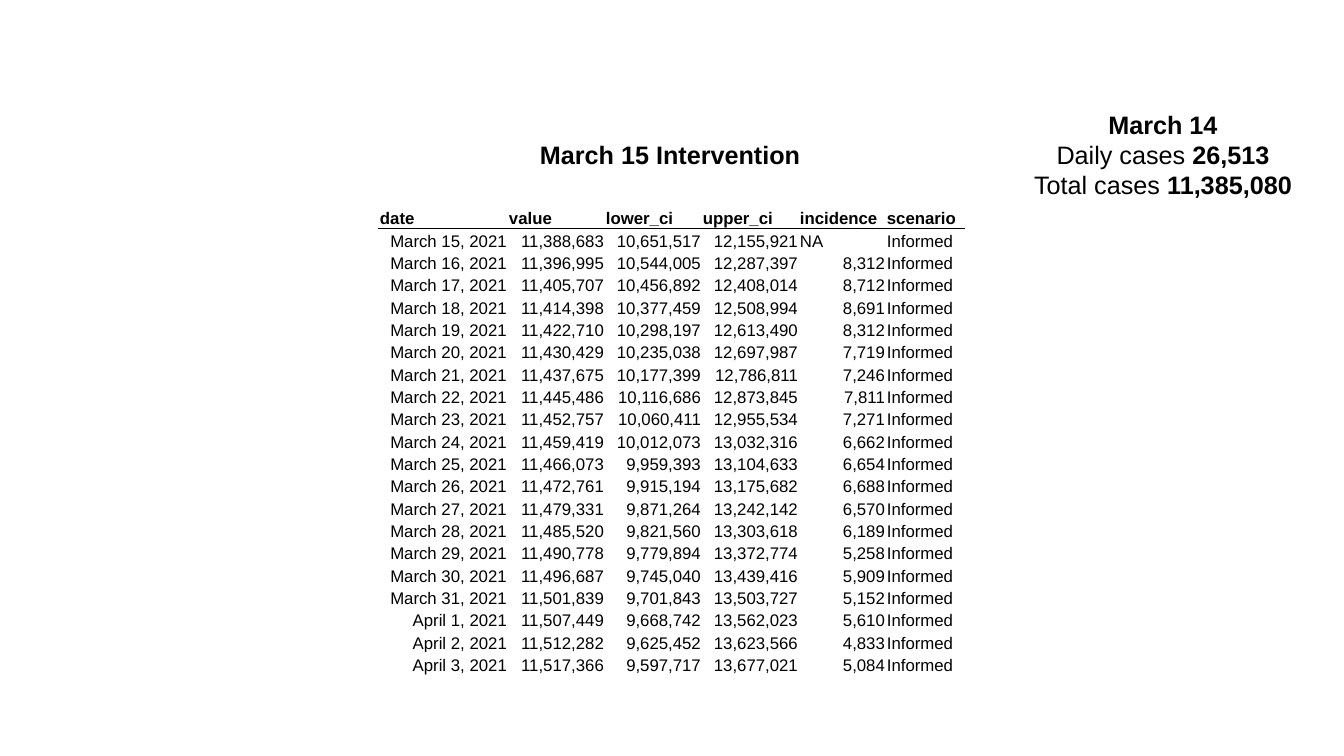
from lxml import etree
from pptx import Presentation
from pptx.dml.color import RGBColor
from pptx.enum.text import MSO_ANCHOR, MSO_AUTO_SIZE, PP_ALIGN
from pptx.oxml.ns import qn
from pptx.util import Pt

PX = 914400 / 100.8
BLACK = "000000"


def px(length):
    """Turn px into EMU."""
    return round(length * PX)


def style_font(font, size, bold=None):
    font.name = "Arial"
    font.size = Pt(size)
    font.bold = bold
    font.color.rgb = RGBColor.from_string(BLACK)


presentation = Presentation()
presentation.slide_width = px(1344)
presentation.slide_height = px(756)
slide = presentation.slides.add_slide(presentation.slide_layouts[6])

# Forecast table: value, lower and upper bound per day
HEADERS = ["date", "value", "lower_ci", "upper_ci", "incidence", "scenario"]
COLUMN_WIDTHS = [129, 97, 97, 97, 87, 79]
FORECAST = [
    (11388683, 10651517, 12155921),
    (11396995, 10544005, 12287397),
    (11405707, 10456892, 12408014),
    (11414398, 10377459, 12508994),
    (11422710, 10298197, 12613490),
    (11430429, 10235038, 12697987),
    (11437675, 10177399, 12786811),
    (11445486, 10116686, 12873845),
    (11452757, 10060411, 12955534),
    (11459419, 10012073, 13032316),
    (11466073, 9959393, 13104633),
    (11472761, 9915194, 13175682),
    (11479331, 9871264, 13242142),
    (11485520, 9821560, 13303618),
    (11490778, 9779894, 13372774),
    (11496687, 9745040, 13439416),
    (11501839, 9701843, 13503727),
    (11507449, 9668742, 13562023),
    (11512282, 9625452, 13623566),
    (11517366, 9597717, 13677021),
]

# Incidence is the daily rise in value
rows = [HEADERS]
for index, (value, lower, upper) in enumerate(FORECAST):
    day = 15 + index
    date = f"March {day}, 2021" if day <= 31 else f"April {day - 31}, 2021"
    incidence = f"{value - FORECAST[index - 1][0]:,}" if index else "NA"
    rows.append([date, f"{value:,}", f"{lower:,}", f"{upper:,}", incidence, "Informed"])

table = slide.shapes.add_table(
    len(rows), len(HEADERS), px(379), px(206), px(sum(COLUMN_WIDTHS)), px(470)
).table
table.first_row = False
table.horz_banding = False
for column, width in zip(table.columns, COLUMN_WIDTHS):
    column.width = px(width)

HEADER_RULE = {0: "a:lnB", 1: "a:lnT"}
for row_index, row in enumerate(rows):
    for column_index, text in enumerate(row):
        cell = table.cell(row_index, column_index)
        cell.text = text
        cell.vertical_anchor = MSO_ANCHOR.BOTTOM
        cell.margin_left = cell.margin_right = cell.margin_top = px(1)
        cell.margin_bottom = 0
        paragraph = cell.text_frame.paragraphs[0]
        style_font(paragraph.font, 12, row_index == 0)
        if row_index > 0 and text not in ("NA", "Informed"):
            paragraph.alignment = PP_ALIGN.RIGHT
        if row_index in HEADER_RULE:
            properties = cell._tc.get_or_add_tcPr()
            line = etree.SubElement(properties, qn(HEADER_RULE[row_index]), w=str(Pt(0.5)))
            line_fill = etree.SubElement(line, qn("a:solidFill"))
            etree.SubElement(line_fill, qn("a:srgbClr"), val=BLACK)
        cell.fill.background()

# Text boxes: each paragraph is a list of (text, bold) runs
TEXT_BOXES = [
    ((530, 134, 283, 40), PP_ALIGN.LEFT, [[("March 15 Intervention", True)]]),
    ((1023, 104, 280, 102), PP_ALIGN.CENTER, [
        [("March 14", True)],
        [("Daily cases ", False), ("26,513", True)],
        [("Total cases ", False), ("11,385,080", True)],
    ]),
]
for box, alignment, paragraphs in TEXT_BOXES:
    text_frame = slide.shapes.add_textbox(*map(px, box)).text_frame
    text_frame.word_wrap = False
    text_frame.auto_size = MSO_AUTO_SIZE.SHAPE_TO_FIT_TEXT
    for index, runs in enumerate(paragraphs):
        paragraph = text_frame.add_paragraph() if index else text_frame.paragraphs[0]
        paragraph.alignment = alignment
        style_font(paragraph.font, 18)
        for text, bold in runs:
            run = paragraph.add_run()
            run.text = text
            run.font.bold = bold

presentation.save("out.pptx")
